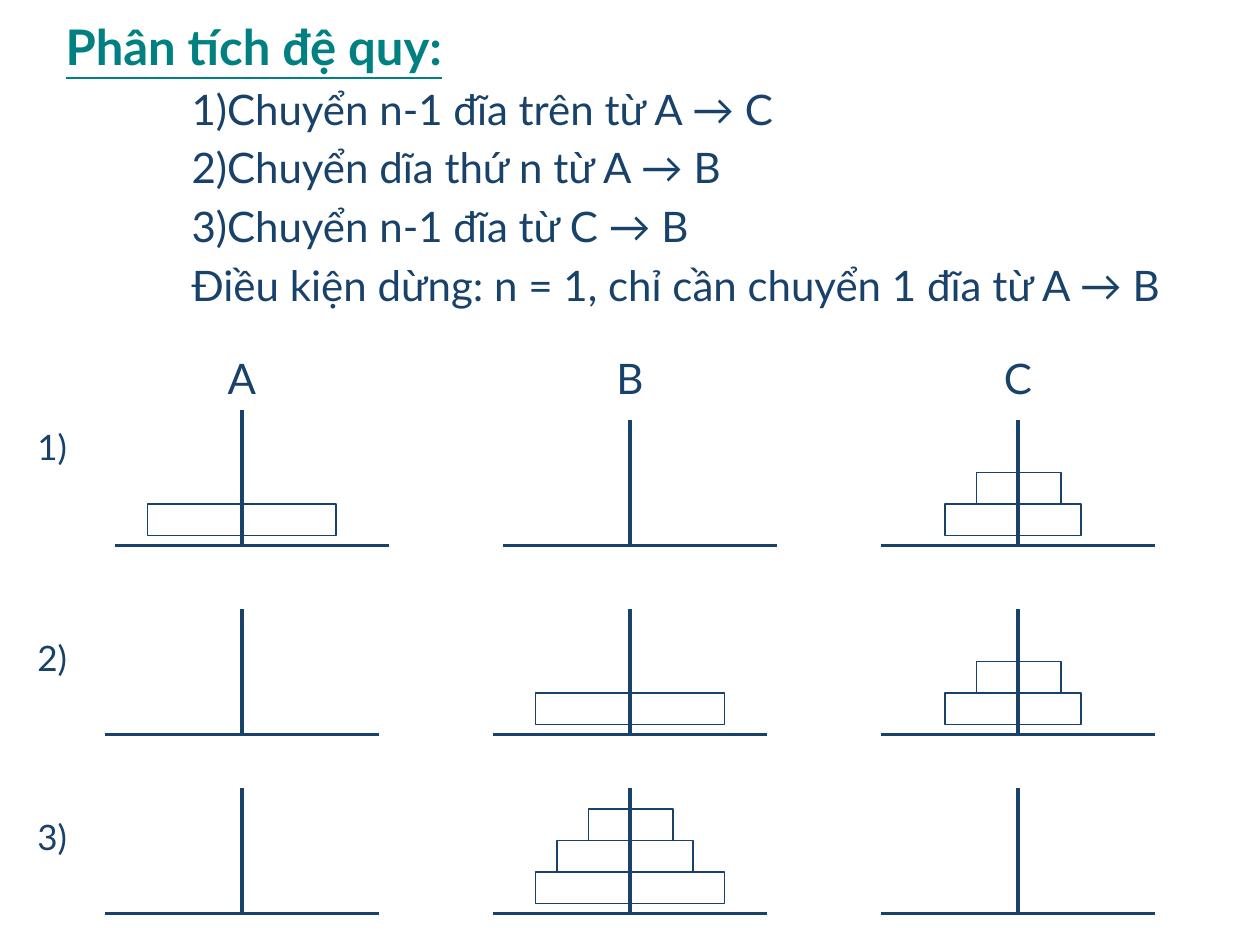
from dataclasses import dataclass

from lxml.etree import SubElement
from pptx import Presentation
from pptx.dml.color import RGBColor
from pptx.enum.shapes import MSO_CONNECTOR as Connector, MSO_SHAPE as Shape
from pptx.enum.text import MSO_ANCHOR as Anchor, MSO_AUTO_SIZE as AutoSize, PP_ALIGN as Align
from pptx.oxml.ns import qn
from pptx.util import Inches, Pt


@dataclass(frozen=True)
class Theme:
    font: str = "Lato"
    ink: RGBColor = RGBColor(0x19, 0x42, 0x6B)
    accent: RGBColor = RGBColor(0x00, 0x80, 0x80)
    title: int = 28
    body: int = 24
    label: int = 20
    lead: float = 0.2       # space before a paragraph, as a share of its size
    post: float = 2.5
    base: float = 1.5
    disk: float = 1


THEME = Theme()

# Content
TITLE = "Phân tích đệ quy:"
STEPS = [
    "Chuyển n-1 đĩa trên từ A → C",
    "Chuyển dĩa thứ n từ A → B",
    "Chuyển n-1 đĩa từ C → B",
]
STOP = "Điều kiện dừng: n = 1, chỉ cần chuyển 1 đĩa từ A → B"
PEGS = ["A", "B", "C"]
DISKS = {  # width, distance from the post to the left edge
    "large": (1.5, 0.75),
    "medium": (1.08, 0.58),
    "small": (0.67, 0.33),
}
STAGES = [  # disks are listed from the bottom up
    dict(label="1)", floor=4.33, label_rise=1, base_shift={"A": 0.08, "B": 0.08},
         post_extra={"A": 0.08}, disks={"A": ["large"], "C": ["medium", "small"]}),
    dict(label="2)", floor=5.83, label_rise=0.83, base_shift={}, post_extra={},
         disks={"B": ["large"], "C": ["medium", "small"]}),
    dict(label="3)", floor=7.25, label_rise=0.83, base_shift={}, post_extra={},
         disks={"B": ["large", "medium", "small"]}),
]

# Grid
FIRST_PEG, PEG_STEP = 1.92, 3.08
BASE_WIDTH, POST_HEIGHT = 2.17, 1
DISK_HEIGHT, DISK_GAP = 0.25, 0.08
LABEL_WIDTH, LABEL_HEIGHT = 0.67, 0.5
LABEL_LEFT, HEADER_TOP = 0.08, 2.75


def write(para, text, size, color=THEME.ink, align=Align.LEFT, bold=False, underline=False):
    para.alignment = align
    para.space_before = Pt(size * THEME.lead)
    span = para.add_run()
    span.text = text
    font = span.font
    font.name, font.size, font.bold, font.underline = THEME.font, Pt(size), bold, underline
    font.color.rgb = color


def set_bullet(para, numbered):
    props = para._p.get_or_add_pPr()
    indent = str(Inches(0.5))
    props.set("marL", indent)
    props.set("indent", indent)
    if numbered:
        SubElement(props, qn("a:buFont"), typeface="+mj-lt")
        SubElement(props, qn("a:buAutoNum"), type="arabicParenR")
    else:
        SubElement(props, qn("a:buNone"))


def place(box, left, top, width, height):
    box.left, box.top, box.width, box.height = map(Inches, (left, top, width, height))
    frame = box.text_frame
    frame.word_wrap = True
    frame.auto_size = AutoSize.NONE
    frame.vertical_anchor = Anchor.TOP
    return frame


def add_label(page, text, left, top, size):
    box = page.shapes.add_textbox(0, 0, 0, 0)
    frame = place(box, left, top, LABEL_WIDTH, LABEL_HEIGHT)
    write(frame.paragraphs[0], text, size, align=Align.CENTER)


def add_line(page, x1, y1, x2, y2, weight):
    line = page.shapes.add_connector(Connector.STRAIGHT, *map(Inches, (x1, y1, x2, y2)))
    line.line.color.rgb = THEME.ink
    line.line.width = Pt(weight)
    SubElement(line._element.spPr, qn("a:effectLst"))


def add_disk(page, left, top, width):
    disk = page.shapes.add_shape(Shape.RECTANGLE, *map(Inches, (left, top, width, DISK_HEIGHT)))
    disk.shadow.inherit = False
    disk.fill.background()
    disk.line.color.rgb = THEME.ink
    disk.line.width = Pt(THEME.disk)


def add_peg(page, stage, peg, x):
    floor = stage["floor"]
    left = x - BASE_WIDTH / 2 + stage["base_shift"].get(peg, 0)
    top = floor - POST_HEIGHT - stage["post_extra"].get(peg, 0)
    add_line(page, left, floor, left + BASE_WIDTH, floor, THEME.base)
    add_line(page, x, top, x, floor, THEME.post)
    for level, name in enumerate(stage["disks"].get(peg, []), start=1):
        width, reach = DISKS[name]
        add_disk(page, x - reach, floor - DISK_GAP - level * DISK_HEIGHT, width)


def main():
    deck = Presentation()
    deck.slide_width, deck.slide_height = Inches(10), Inches(7.5)
    page = deck.slides.add_slide(deck.slide_layouts[1])

    # Title and steps
    title = place(page.shapes.title, 0.42, 0.08, 9.42, 0.53)
    write(title.paragraphs[0], TITLE, THEME.title, THEME.accent, bold=True, underline=True)
    body = place(page.placeholders[1], 0.42, 0.61, 9.42, 1.97)
    for index, text in enumerate(STEPS + [STOP]):
        para = body.paragraphs[0] if index == 0 else body.add_paragraph()
        para.level = 1
        write(para, text, THEME.body)
        set_bullet(para, numbered=index < len(STEPS))

    # Peg names
    columns = [(peg, FIRST_PEG + i * PEG_STEP) for i, peg in enumerate(PEGS)]
    for peg, x in columns:
        add_label(page, peg, x - LABEL_WIDTH / 2, HEADER_TOP, THEME.body)

    # One row of pegs for each stage
    for stage in STAGES:
        add_label(page, stage["label"], LABEL_LEFT, stage["floor"] - stage["label_rise"], THEME.label)
        for peg, x in columns:
            add_peg(page, stage, peg, x)

    deck.save("out.pptx")


if __name__ == "__main__":
    main()
